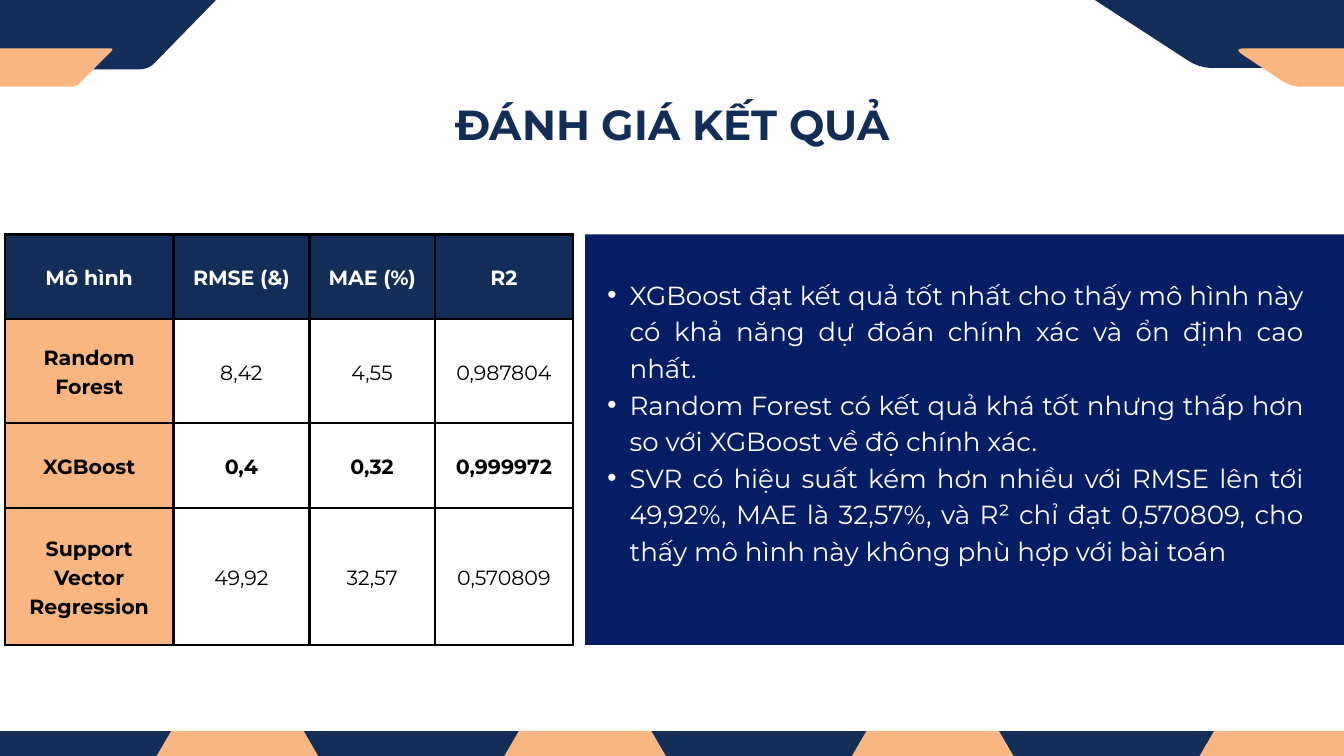
from dataclasses import dataclass
from math import dist

from lxml import etree
from pptx import Presentation
from pptx.dml.color import RGBColor
from pptx.enum.shapes import MSO_SHAPE
from pptx.enum.text import MSO_ANCHOR, MSO_AUTO_SIZE, PP_ALIGN
from pptx.oxml.ns import qn
from pptx.shapes.base import BaseShape
from pptx.slide import Slide
from pptx.table import _Cell
from pptx.text.text import TextFrame, _Paragraph
from pptx.util import Cm, Pt

HEXAGON, RECTANGLE = MSO_SHAPE.HEXAGON, MSO_SHAPE.RECTANGLE
CENTER, JUSTIFY = PP_ALIGN.CENTER, PP_ALIGN.JUSTIFY
TOP, MIDDLE = MSO_ANCHOR.TOP, MSO_ANCHOR.MIDDLE
NO_AUTOFIT = MSO_AUTO_SIZE.NONE

NAVY = RGBColor(0x12, 0x2D, 0x58)
ROYAL = RGBColor(0x05, 0x1D, 0x64)
PEACH = RGBColor(0xF9, 0xB6, 0x80)
WHITE = RGBColor(0xFF, 0xFF, 0xFF)
BLACK = RGBColor(0x00, 0x00, 0x00)
FONT = "Montserrat"

Point = tuple[float, float]


@dataclass(frozen=True)
class Box:
    """A rectangle in centimetres."""
    left: float
    top: float
    width: float
    height: float

    def emu(self) -> tuple[Cm, Cm, Cm, Cm]:
        return Cm(self.left), Cm(self.top), Cm(self.width), Cm(self.height)


@dataclass(frozen=True)
class CornerBanner:
    """A rounded parallelogram whose lower edge is shifted by lean."""
    box: Box
    lean: float
    rounding: float
    color: RGBColor


@dataclass(frozen=True)
class TextStyle:
    size: float
    line_pt: float
    color: RGBColor
    bold: bool = False
    align: PP_ALIGN = CENTER


BANNERS = (
    CornerBanner(Box(-7.54, -0.61, 16.3, 3.23), -3.15, 0.33, NAVY),
    CornerBanner(Box(-3, 1.83, 7.32, 1.45), -1.45, 0.17, PEACH),
    CornerBanner(Box(40.44, -0.61, 14.6, 3.18), 4.9, 0.5, NAVY),
    CornerBanner(Box(46.61, 1.83, 6.58, 1.45), 2.18, 0.43, PEACH),
)
CURVE_STEPS = 6

FOOTER_TOP, FOOTER_HEIGHT, FOOTER_SLANT = 27.64, 6.35, 1.85
FOOTER_BAND = Box(-1.96, FOOTER_TOP, 52.76, FOOTER_HEIGHT)
FOOTER_TILES = [Box(4.62 + 13.14 * i, FOOTER_TOP, 8.71, FOOTER_HEIGHT) for i in range(4)]

TITLE = "ĐÁNH GIÁ KẾT QUẢ"
TITLE_BOX = Box(2.06, 3.73, 46.69, 1.91)
FINDINGS = (
    "XGBoost đạt kết quả tốt nhất cho thấy mô hình này có khả năng dự đoán "
    "chính xác và ổn định cao nhất.",
    "Random Forest có kết quả khá tốt nhưng thấp hơn so với XGBoost về độ chính xác.",
    "SVR có hiệu suất kém hơn nhiều với RMSE lên tới 49,92%, MAE là 32,57%, "
    "và R² chỉ đạt 0,570809, cho thấy mô hình này không phù hợp với bài toán",
)
PANEL_BOX = Box(22.12, 8.86, 28.68, 15.52)
FINDINGS_BOX = Box(22.12, 10.36, 27.15, 10.95)

SCORES = (
    ("Mô hình", "RMSE (&)", "MAE (%)", "R2"),
    ("Random Forest", "8,42", "4,55", "0,987804"),
    ("XGBoost", "0,4", "0,32", "0,999972"),
    ("Support Vector Regression", "49,92", "32,57", "0,570809"),
)
BEST_ROW = 2
COLUMN_WIDTHS = (6.38, 5.13, 4.75, 5.21)
ROW_HEIGHTS = (3.2, 3.94, 3.2, 5.18)
TABLE_BOX = Box(0.18, 8.86, sum(COLUMN_WIDTHS), sum(ROW_HEIGHTS))


def paint(shape: BaseShape, color: RGBColor) -> None:
    shape.shadow.inherit = False
    shape.fill.solid()
    shape.fill.fore_color.rgb = color
    shape.line.fill.background()


def toward(start: Point, end: Point, length: float) -> Point:
    """Return the point at the given length from start on the way to end."""
    share = length / dist(start, end)
    return tuple(a + (b - a) * share for a, b in zip(start, end))


def rounded_outline(corners: list[Point], rounding: float) -> list[Point]:
    outline = []
    for i, corner in enumerate(corners):
        entry = toward(corner, corners[i - 1], rounding)
        leave = toward(corner, corners[(i + 1) % len(corners)], rounding)
        for step in range(CURVE_STEPS + 1):
            t = step / CURVE_STEPS
            outline.append(tuple(
                (1 - t) ** 2 * a + 2 * t * (1 - t) * b + t ** 2 * c
                for a, b, c in zip(entry, corner, leave)))
    return outline


def add_banner(slide: Slide, banner: CornerBanner) -> None:
    box = banner.box
    right, bottom = box.left + box.width, box.top + box.height
    corners = [(box.left, box.top), (right, box.top),
               (right + banner.lean, bottom), (box.left + banner.lean, bottom)]
    outline = [(Cm(x), Cm(y)) for x, y in rounded_outline(corners, banner.rounding)]
    builder = slide.shapes.build_freeform(*outline[0])
    builder.add_line_segments(outline[1:], close=True)
    paint(builder.convert_to_shape(), banner.color)


def add_footer_tile(slide: Slide, box: Box, color: RGBColor) -> None:
    tile = slide.shapes.add_shape(HEXAGON, *box.emu())
    tile.adjustments[0] = FOOTER_SLANT / FOOTER_HEIGHT
    paint(tile, color)


def style_paragraph(paragraph: _Paragraph, style: TextStyle) -> None:
    paragraph.alignment = style.align
    paragraph.line_spacing = Pt(style.line_pt)
    paragraph.space_before = Pt(0)
    for run in paragraph.runs:
        run.font.name = FONT
        run.font.size = Pt(style.size)
        run.font.bold = style.bold
        run.font.color.rgb = style.color


def add_bullet(paragraph: _Paragraph) -> None:
    properties = paragraph._p.get_or_add_pPr()
    properties.set("marL", str(Cm(1.68)))
    properties.set("indent", str(Cm(-0.84)))
    etree.SubElement(properties, qn("a:buChar"), char="•")


def place_text(slide: Slide, placeholder: BaseShape, box: Box) -> TextFrame:
    """Move a placeholder to its box, in front of what is already drawn."""
    placeholder.left, placeholder.top, placeholder.width, placeholder.height = box.emu()
    slide.shapes.element.append(placeholder.element)
    frame = placeholder.text_frame
    frame.margin_left = frame.margin_right = frame.margin_top = frame.margin_bottom = 0
    frame.word_wrap = True
    frame.auto_size = NO_AUTOFIT
    frame.vertical_anchor = TOP
    return frame


def add_borders(cell: _Cell) -> None:
    properties = cell._tc.get_or_add_tcPr()
    for side in ("a:lnL", "a:lnR", "a:lnT", "a:lnB"):
        line = etree.SubElement(properties, qn(side), w=str(Pt(3)))
        fill = etree.SubElement(line, qn("a:solidFill"))
        etree.SubElement(fill, qn("a:srgbClr"), val=str(BLACK))


def fill_cell(cell: _Cell, text: str, row: int, column: int) -> None:
    cell.margin_left = cell.margin_right = cell.margin_top = cell.margin_bottom = Cm(0.53)
    cell.vertical_anchor = MIDDLE
    add_borders(cell)
    if row == 0 or column == 0:
        cell.fill.solid()
        cell.fill.fore_color.rgb = NAVY if row == 0 else PEACH
    else:
        cell.fill.background()
    cell.text_frame.text = text
    bold = row in (0, BEST_ROW) or column == 0
    style = TextStyle(22, 30.8, WHITE if row == 0 else BLACK, bold)
    style_paragraph(cell.text_frame.paragraphs[0], style)


def add_score_table(slide: Slide) -> None:
    table = slide.shapes.add_table(len(SCORES), len(COLUMN_WIDTHS), *TABLE_BOX.emu()).table
    table.first_row = table.horz_banding = False
    for column, width in zip(table.columns, COLUMN_WIDTHS):
        column.width = Cm(width)
    for row, height in zip(table.rows, ROW_HEIGHTS):
        row.height = Cm(height)
    for r, scores in enumerate(SCORES):
        for c, score in enumerate(scores):
            fill_cell(table.cell(r, c), score, r, c)


def main() -> None:
    deck = Presentation()
    deck.slide_width, deck.slide_height = Cm(50.8), Cm(28.58)
    slide = deck.slides.add_slide(deck.slide_layouts[1])
    title, findings = slide.shapes.title, slide.placeholders[1]

    add_footer_tile(slide, FOOTER_BAND, NAVY)
    for box in FOOTER_TILES:
        add_footer_tile(slide, box, PEACH)
    for banner in BANNERS:
        add_banner(slide, banner)

    paint(slide.shapes.add_shape(RECTANGLE, *PANEL_BOX.emu()), ROYAL)
    findings_frame = place_text(slide, findings, FINDINGS_BOX)
    findings_frame.text = "\n".join(FINDINGS)
    for paragraph in findings_frame.paragraphs:
        add_bullet(paragraph)
        style_paragraph(paragraph, TextStyle(28, 39.2, WHITE, align=JUSTIFY))

    add_score_table(slide)
    title_frame = place_text(slide, title, TITLE_BOX)
    title_frame.text = TITLE
    style_paragraph(title_frame.paragraphs[0], TextStyle(45, 54, NAVY, bold=True))
    deck.save("out.pptx")


if __name__ == "__main__":
    main()
